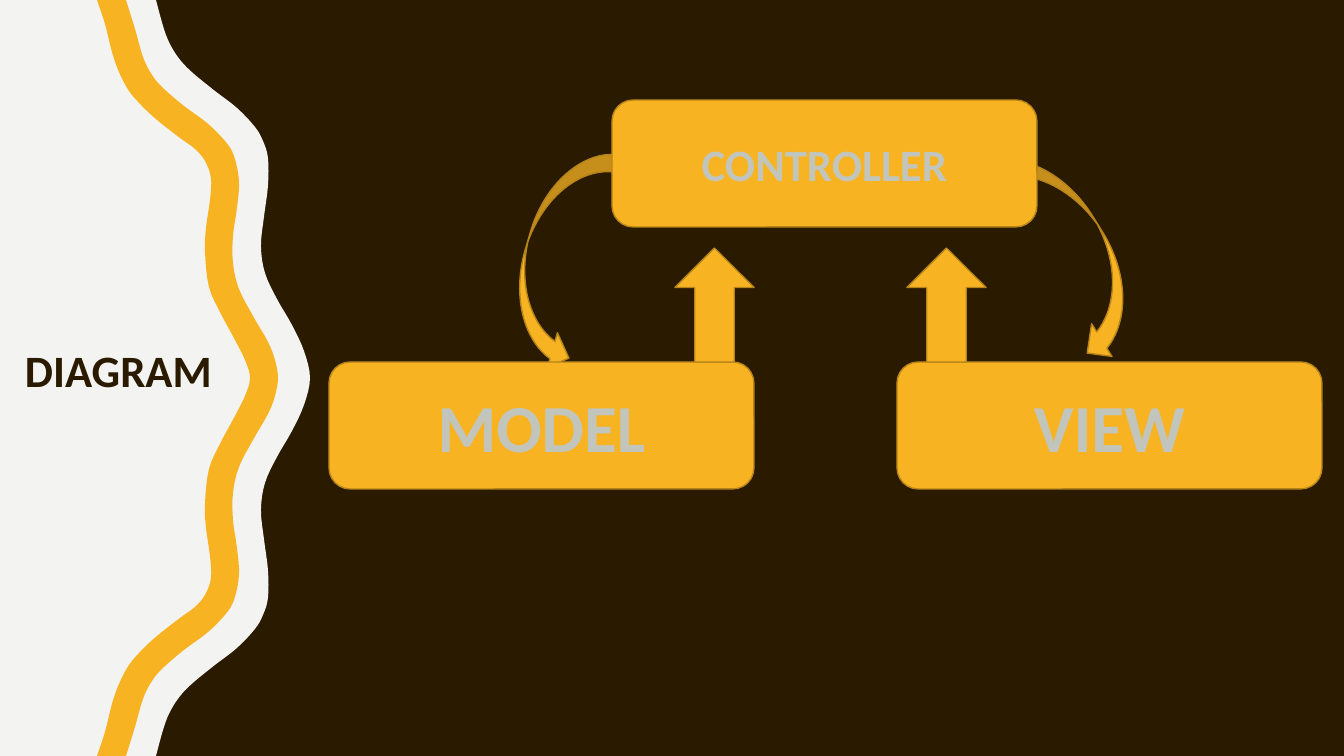
import pptx
import pptx.util
import pptx.oxml
import pptx.oxml.ns
import pptx.dml.color
import pptx.enum.shapes
import pptx.enum.text

RGB = pptx.dml.color.RGBColor
KIND = pptx.enum.shapes.MSO_SHAPE
BROWN = RGB(0x2A, 0x1A, 0x00)
PAPER = RGB(0xF3, 0xF3, 0xF2)
GOLD = RGB(0xF8, 0xB3, 0x23)
GOLD_EDGE = RGB(0xB7, 0x84, 0x1A)
LABEL = RGB(0xC2, 0xC5, 0xBB)
LABEL_EDGE = RGB(0x65, 0x6A, 0x59)

SCALE = 914400 / 100.8
WIDTH, HEIGHT = 1344, 756
BOX_SIZE = (425, 127)
ARROW_SIZE = (79, 114)
ROW_TOP = 362
CURVE_STEPS = 4

TITLE = ("DIAGRAM", (-8, 337, 253, 65), 32)
BOXES = [("CONTROLLER", 612, 100, 32), ("MODEL", 329, ROW_TOP, 48), ("VIEW", 897, ROW_TOP, 48)]
CURVED_ARROWS = [
    (KIND.CURVED_RIGHT_ARROW, (525, 142, 72, 228), 16.1),
    (KIND.CURVED_LEFT_ARROW, (1029, 130, 77, 237), 328.1),
]
UP_ARROW_LEFTS = [675, 907]

PANEL_EDGE = [
    (156, 0), (164, 29), (171, 46), (181, 61), (194, 74), (215, 91), (237, 108), (255, 127),
    (263, 141), (268, 158), (268, 186), (264, 217), (261, 246), (265, 273), (277, 299),
    (292, 325), (304, 351), (310, 378),
]
BAND_RIGHT = [
    (126, 0), (135, 29), (143, 57), (152, 75), (163, 88), (184, 106), (207, 123), (225, 141),
    (234, 156), (239, 181), (237, 208), (233, 236), (233, 263), (239, 289), (253, 316),
    (268, 342), (275, 360), (278, 378),
]
BAND_LEFT = [
    (97, 0), (105, 24), (112, 52), (119, 72), (129, 91), (142, 106), (157, 120), (180, 138),
    (195, 149), (205, 161), (211, 178), (210, 200), (206, 228), (205, 252), (209, 287),
    (221, 314), (235, 340), (245, 360), (250, 378),
]


def emu(pixels):
    return pptx.util.Emu(round(pixels * SCALE))


def apply(target, formats):
    for name, value in formats.items():
        setattr(target, name, value)


def paint(shape, fill, edge=None):
    shape.shadow.inherit = False
    shape.fill.solid()
    shape.fill.fore_color.rgb = fill
    if edge is None:
        shape.line.fill.background()
    else:
        shape.line.color.rgb = edge
        shape.line.width = pptx.util.Pt(1)


def add_gold_shape(kind, frame, rotation=0):
    shape = page.shapes.add_shape(kind, *map(emu, frame))
    shape.rotation = rotation
    paint(shape, GOLD, GOLD_EDGE)
    return shape


def write(shape, text, size, color):
    frame = shape.text_frame
    apply(frame, {
        "word_wrap": True,
        "auto_size": pptx.enum.text.MSO_AUTO_SIZE.NONE,
        "vertical_anchor": pptx.enum.text.MSO_ANCHOR.MIDDLE,
    })
    para = frame.paragraphs[0]
    para.alignment = pptx.enum.text.PP_ALIGN.CENTER
    span = para.add_run()
    span.text = text
    apply(span.font, {"name": "Calibri", "size": pptx.util.Pt(size), "bold": True})
    span.font.color.rgb = color
    return span


def outline_text(span):
    edge = pptx.oxml.parse_xml(
        f'<a:ln {pptx.oxml.ns.nsdecls("a")} w="{pptx.util.Pt(1.75)}">'
        f'<a:solidFill><a:srgbClr val="{LABEL_EDGE}"/></a:solidFill></a:ln>')
    span.font._element.insert(0, edge)


def wave(half):
    points = half + [(x, HEIGHT - y) for x, y in reversed(half[:-1])]
    padded = [points[0]] + points + [points[-1]]
    curve = []
    for a, b, c, d in zip(padded, padded[1:], padded[2:], padded[3:]):
        for step in range(CURVE_STEPS):
            t = step / CURVE_STEPS
            curve.append(tuple(
                b[i] + t * (c[i] - a[i]) / 2
                + t ** 2 * (2 * a[i] - 5 * b[i] + 4 * c[i] - d[i]) / 2
                + t ** 3 * (3 * b[i] - a[i] - 3 * c[i] + d[i]) / 2
                for i in range(2)))
    return curve + [points[-1]]


def add_outline(points, fill):
    points = [(round(x * SCALE), round(y * SCALE)) for x, y in points]
    builder = page.shapes.build_freeform(*points[0])
    builder.add_line_segments(points[1:], close=True)
    paint(builder.convert_to_shape(), fill)


deck = pptx.Presentation()
apply(deck, {"slide_width": emu(WIDTH), "slide_height": emu(HEIGHT)})
page = deck.slides.add_slide(deck.slide_layouts[5])
page.background.fill.solid()
page.background.fill.fore_color.rgb = BROWN

add_outline([(0, 0)] + wave(PANEL_EDGE) + [(0, HEIGHT)], PAPER)
add_outline(wave(BAND_RIGHT) + wave(BAND_LEFT)[::-1], GOLD)

for kind, frame, rotation in CURVED_ARROWS:
    add_gold_shape(kind, frame, rotation)

for text, left, top, size in BOXES:
    box = add_gold_shape(KIND.ROUNDED_RECTANGLE, (left, top, *BOX_SIZE))
    outline_text(write(box, text, size, LABEL))

for left in UP_ARROW_LEFTS:
    add_gold_shape(KIND.UP_ARROW, (left, ROW_TOP - ARROW_SIZE[1], *ARROW_SIZE))

text, frame, size = TITLE
title = page.shapes.title
apply(title, dict(zip(("left", "top", "width", "height"), map(emu, frame))))
write(title, text, size, BROWN)
title.element.getparent().append(title.element)

deck.save("out.pptx")
